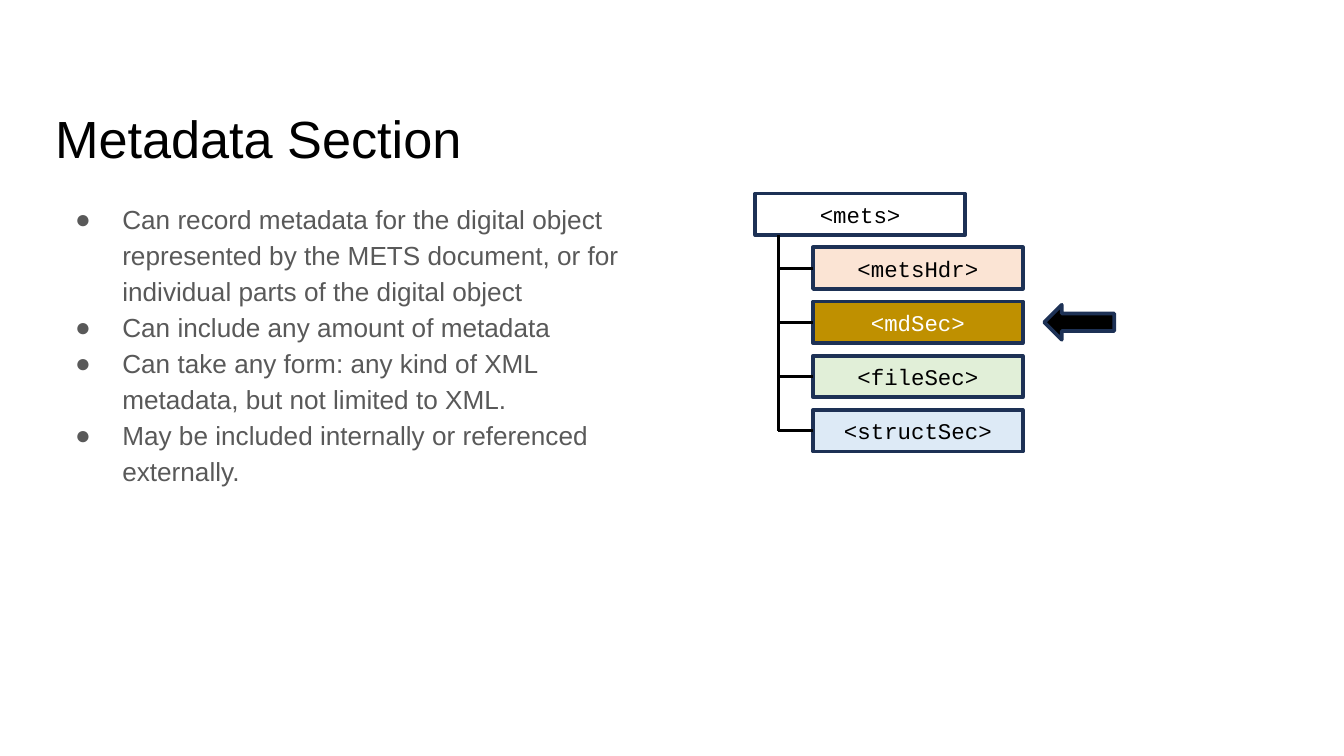
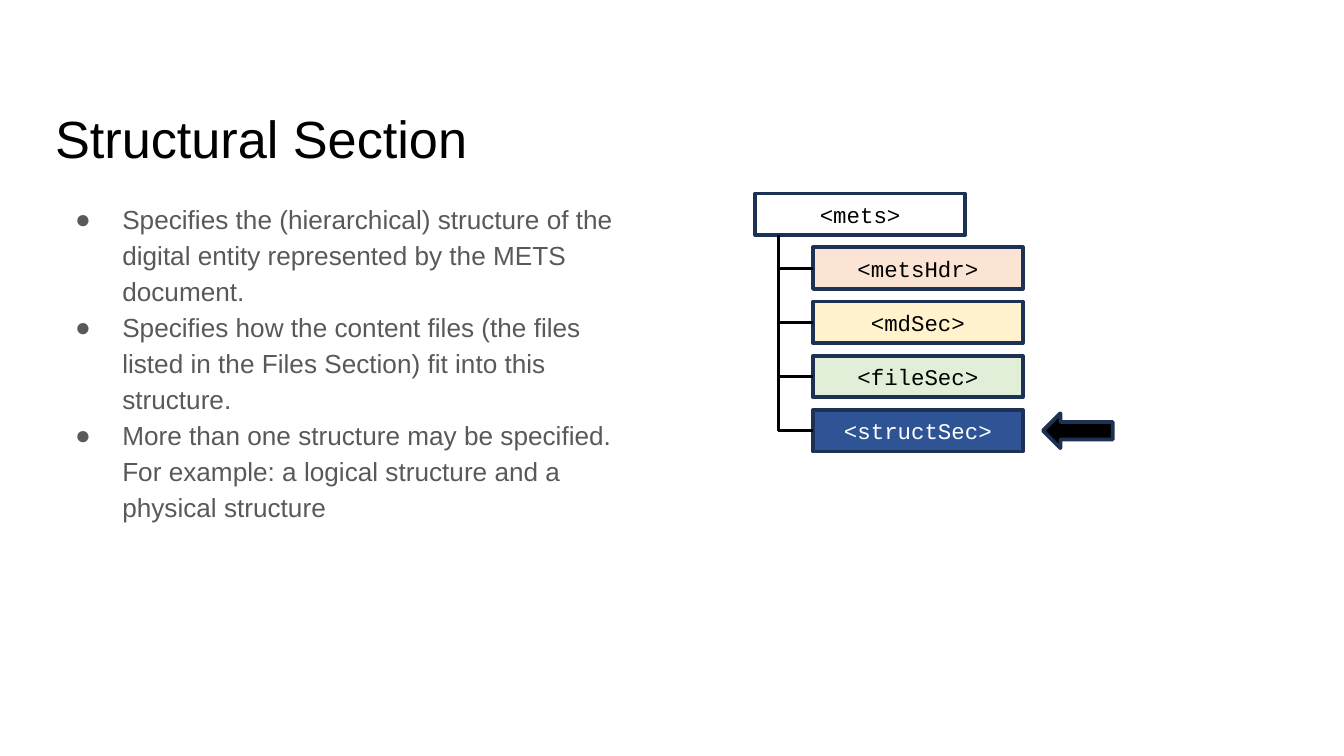
"""Build two slides on the sections of a METS document."""
from lxml.etree import SubElement
from pptx import Presentation
from pptx.dml.color import RGBColor
from pptx.enum.shapes import MSO_CONNECTOR, MSO_SHAPE
from pptx.enum.text import MSO_ANCHOR, PP_ALIGN
from pptx.oxml.ns import qn
from pptx.util import Inches, Pt

SLIDES = [
    {
        "title": "Metadata Section",
        "points": [
            "Can record metadata for the digital object represented by the METS document, "
            "or for individual parts of the digital object",
            "Can include any amount of metadata",
            "Can take any form: any kind of XML metadata, but not limited to XML.",
            "May be included internally or referenced externally.",
        ],
        "current": "<mdSec>",
        "arrow_left": 7.77,
    },
    {
        "title": "Structural Section",
        "points": [
            "Specifies the (hierarchical) structure of the digital entity represented by "
            "the METS document.",
            "Specifies how the content files (the files listed in the Files Section) fit "
            "into this structure.",
            "More than one structure may be specified. For example: a logical structure "
            "and a physical structure",
        ],
        "current": "<structSec>",
        "arrow_left": 7.76,
    },
]
ROOT = "<mets>"
SECTIONS = {
    "<metsHdr>": "peach",
    "<mdSec>": "cream",
    "<fileSec>": "mint",
    "<structSec>": "sky",
}
HIGHLIGHTS = {"<mdSec>": "gold", "<structSec>": "blue"}
COLORS = {
    "black": "000000",
    "white": "FFFFFF",
    "grey": "595959",
    "navy": "1D3155",
    "peach": "FBE4D4",
    "cream": "FFF2CC",
    "mint": "E1EFD8",
    "sky": "DDEAF6",
    "gold": "BF9000",
    "blue": "2F5496",
}

SLIDE_WIDTH = Inches(10)
SLIDE_HEIGHT = SLIDE_WIDTH * 9 // 16
POINT_SIZE = 14
BOX_WIDTH, BOX_HEIGHT = Inches(1.56), Inches(0.31)
ROOT_LEFT, ROOT_TOP = Inches(5.62), Inches(1.44)
TRUNK_LEFT, SECTION_LEFT = Inches(5.79), Inches(6.05)
FIRST_TOP, LAST_TOP = Inches(1.84), Inches(3.05)
SECTION_STEP = (LAST_TOP - FIRST_TOP) // (len(SECTIONS) - 1)
ARROW_WIDTH, ARROW_HEIGHT = Inches(0.52), Inches(0.26)


def color(name):
    return RGBColor.from_string(COLORS[name])


def set_font(para, name, size, color_name):
    para.font.name = name
    para.font.size = Pt(size)
    para.font.color.rgb = color(color_name)


def add_text(page, top, height, width, anchor):
    box = page.shapes.add_textbox(Inches(0.34), Inches(top), Inches(width), Inches(height))
    frame = box.text_frame
    frame.word_wrap = True
    frame.vertical_anchor = anchor
    frame.margin_left = frame.margin_right = Inches(0.07)
    frame.margin_top = frame.margin_bottom = Inches(0.04)
    return frame


def add_title(page, title):
    para = add_text(page, 0.71, 0.63, 9.32, MSO_ANCHOR.MIDDLE).paragraphs[0]
    para.text = title
    set_font(para, "Arial", 28, "black")


def add_points(page, points):
    frame = add_text(page, 1.44, 3.56, 4.37, MSO_ANCHOR.TOP)
    for index, point in enumerate(points):
        para = frame.add_paragraph() if index else frame.paragraphs[0]
        para.text = point
        para.line_spacing = 1.15
        set_font(para, "Arial", POINT_SIZE, "grey")
        add_bullet(para)


def add_bullet(para):
    properties = para._p.get_or_add_pPr()
    properties.set("marL", str(Inches(0.5)))
    properties.set("indent", str(-Inches(0.35)))
    bullet_color = SubElement(properties, qn("a:buClr"))
    SubElement(bullet_color, qn("a:srgbClr"), val=COLORS["grey"])
    SubElement(properties, qn("a:buSzPts"), val=str(POINT_SIZE * 100))
    SubElement(properties, qn("a:buFont"), typeface="Arial")
    SubElement(properties, qn("a:buChar"), char="●")
    properties.append(properties.find(qn("a:defRPr")))


def add_outlined(shapes, kind, left, top, width, height, fill):
    shape = shapes.add_shape(kind, left, top, width, height)
    shape.shadow.inherit = False
    shape.fill.solid()
    shape.fill.fore_color.rgb = color(fill)
    shape.line.color.rgb = color("navy")
    shape.line.width = Pt(2)
    return shape


def add_box(shapes, left, top, label, fill, text_color="black"):
    box = add_outlined(shapes, MSO_SHAPE.RECTANGLE, left, top, BOX_WIDTH, BOX_HEIGHT, fill)
    box.text_frame.vertical_anchor = MSO_ANCHOR.MIDDLE
    para = box.text_frame.paragraphs[0]
    para.text = label
    para.alignment = PP_ALIGN.CENTER
    set_font(para, "Courier New", 12, text_color)
    return box


def add_line(shapes, start_x, start_y, end_x, end_y):
    line = shapes.add_connector(MSO_CONNECTOR.STRAIGHT, start_x, start_y, end_x, end_y)
    line.line.color.rgb = color("black")
    line.line.width = Pt(1.5)
    SubElement(line._element.spPr, qn("a:effectLst"))
    return line


def add_tree(page, current, arrow_left):
    shapes = page.shapes.add_group_shape().shapes
    add_box(shapes, ROOT_LEFT, ROOT_TOP, ROOT, "white")
    add_line(shapes, TRUNK_LEFT, ROOT_TOP + BOX_HEIGHT, TRUNK_LEFT, LAST_TOP + BOX_HEIGHT // 2)
    for row, (label, fill) in enumerate(SECTIONS.items()):
        top = FIRST_TOP + row * SECTION_STEP
        middle = top + BOX_HEIGHT // 2
        is_current = label == current
        box = add_box(
            shapes,
            SECTION_LEFT,
            top,
            label,
            HIGHLIGHTS[label] if is_current else fill,
            "white" if is_current else "black",
        )
        branch = add_line(shapes, SECTION_LEFT, middle, TRUNK_LEFT, middle)
        branch.begin_connect(box, 1)
        if is_current:
            arrow_top = middle - ARROW_HEIGHT // 2
            add_outlined(page.shapes, MSO_SHAPE.LEFT_ARROW, Inches(arrow_left), arrow_top,
                         ARROW_WIDTH, ARROW_HEIGHT, "black")


def main():
    deck = Presentation()
    deck.slide_width, deck.slide_height = SLIDE_WIDTH, SLIDE_HEIGHT
    for content in SLIDES:
        page = deck.slides.add_slide(deck.slide_layouts[6])
        add_title(page, content["title"])
        add_points(page, content["points"])
        add_tree(page, content["current"], content["arrow_left"])
    deck.save("out.pptx")


if __name__ == "__main__":
    main()
